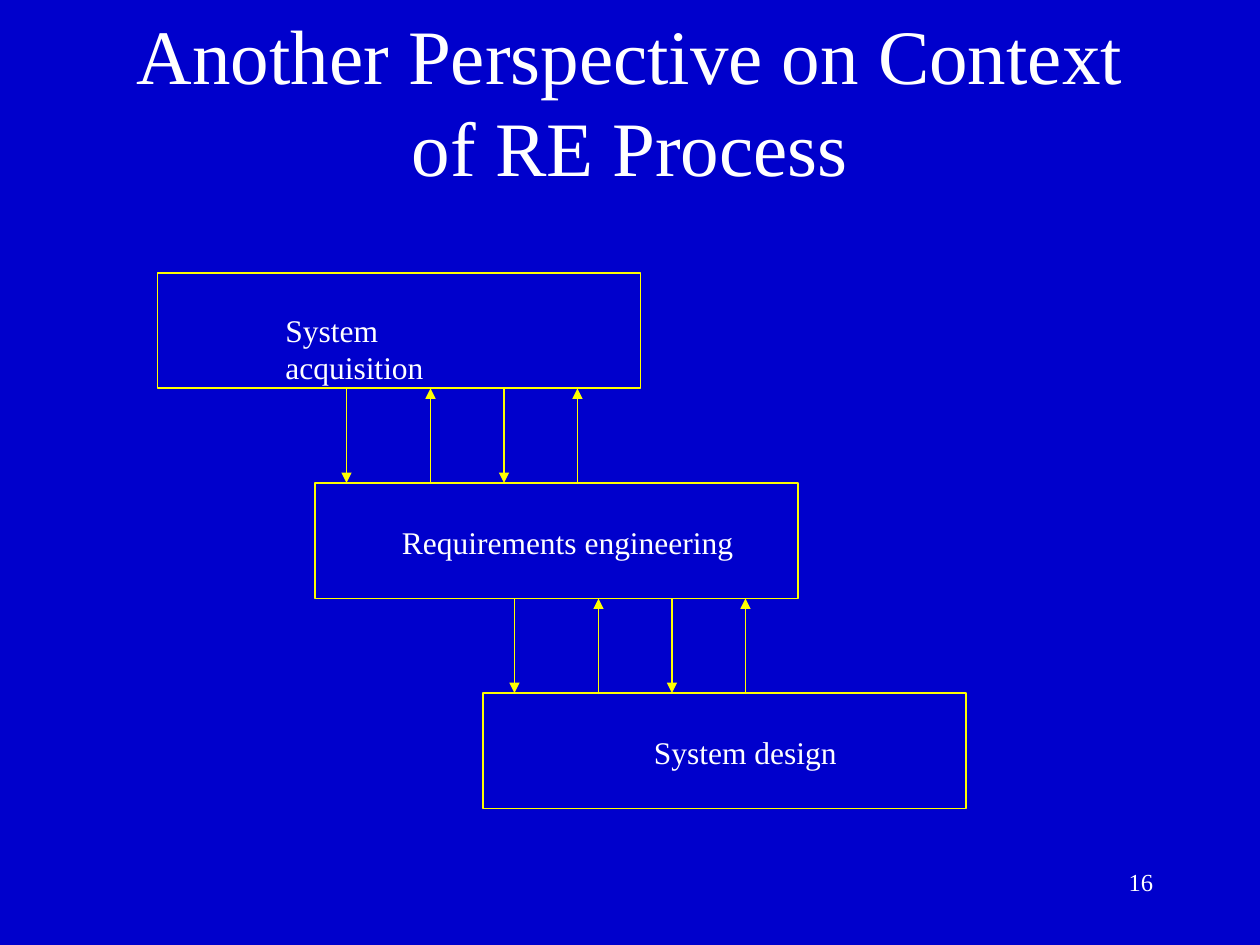
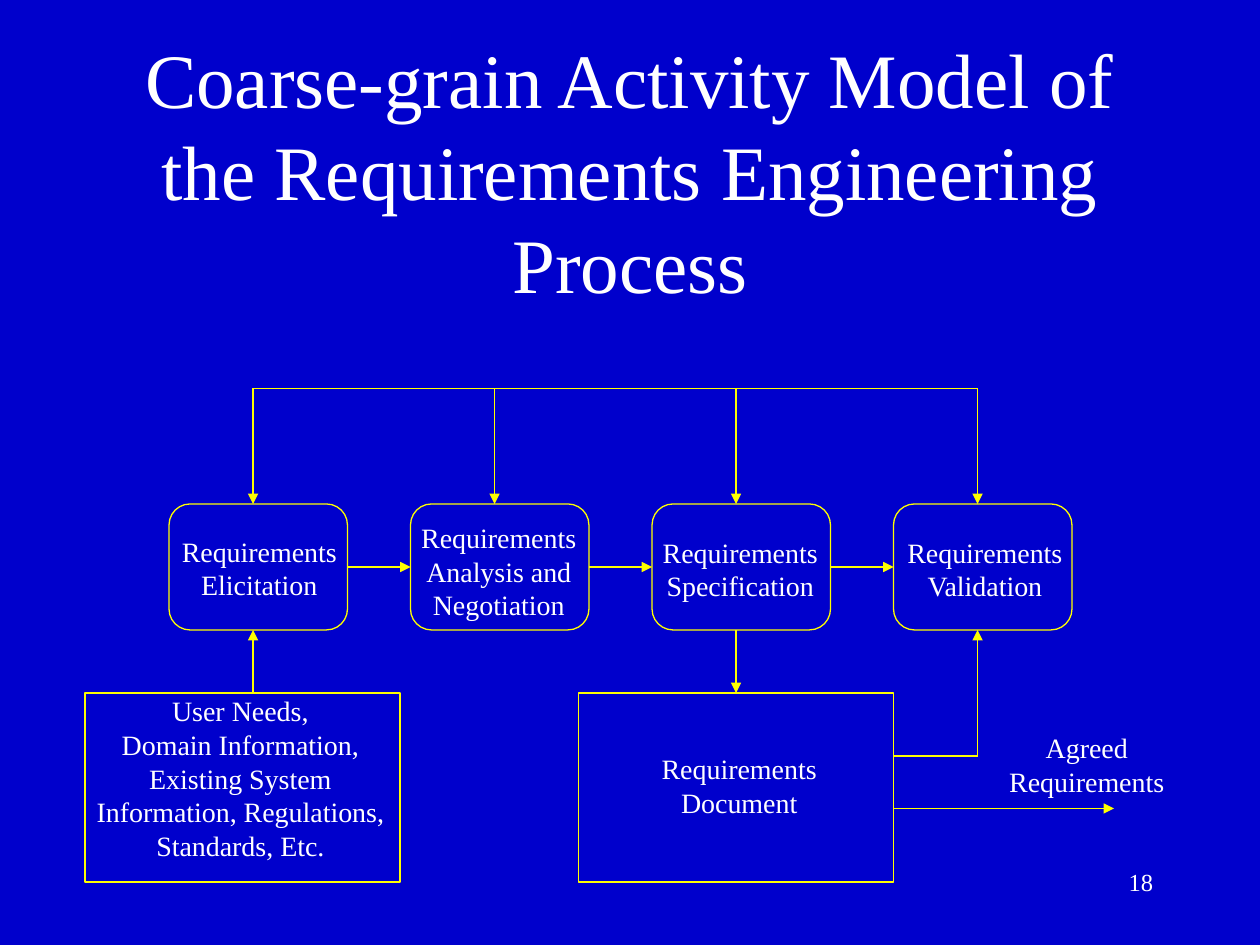
from dataclasses import dataclass

import lxml.etree
import pptx
import pptx.dml.color
import pptx.enum.shapes
import pptx.enum.text
import pptx.oxml.ns
import pptx.util

COLORS = {"background": "0000CC", "line": "FFFF00", "text": "FFFFFF"}
FONT = "Times New Roman"
WIDTH, HEIGHT = pptx.util.Inches(10), pptx.util.Inches(7.5)
COLUMNS, ROWS = 120, 90
TITLE_ONLY = 5

SHAPE = pptx.enum.shapes.MSO_SHAPE
ALIGN = pptx.enum.text.PP_ALIGN
ANCHOR = pptx.enum.text.MSO_ANCHOR
AUTO_SIZE = pptx.enum.text.MSO_AUTO_SIZE


@dataclass(frozen=True)
class Box:
    left: float
    top: float
    width: float
    height: float
    kind: int = SHAPE.RECTANGLE

    @property
    def right(self) -> float:
        return self.left + self.width

    @property
    def bottom(self) -> float:
        return self.top + self.height

    @property
    def middle(self) -> float:
        return self.top + self.height / 2


@dataclass(frozen=True)
class Label:
    text: str
    left: float
    top: float
    width: float
    size: int = 16
    align: int = ALIGN.CENTER

    @property
    def height(self) -> float:
        lines = self.text.count("\n") + 1
        return lines * self.size * 0.2 + 1.2


@dataclass(frozen=True)
class Line:
    x1: float
    y1: float
    x2: float
    y2: float
    arrow: bool = True


def col(count: float) -> int:
    return round(WIDTH * count / COLUMNS)


def row(count: float) -> int:
    return round(HEIGHT * count / ROWS)


def rgb(name: str) -> pptx.dml.color.RGBColor:
    return pptx.dml.color.RGBColor.from_string(COLORS[name])


def style_text(frame, size: int, align: int) -> None:
    for paragraph in frame.paragraphs:
        paragraph.alignment = align
        paragraph.font.name = FONT
        paragraph.font.size = pptx.util.Pt(size)
        paragraph.font.color.rgb = rgb("text")


def draw_box(slide, box: Box, weight: float):
    shape = slide.shapes.add_shape(
        box.kind, col(box.left), row(box.top), col(box.width), row(box.height))
    shape.shadow.inherit = False
    shape.fill.background()
    shape.line.color.rgb = rgb("line")
    shape.line.width = pptx.util.Pt(weight)
    return shape


def draw_label(slide, label: Label) -> None:
    frame = slide.shapes.add_textbox(
        col(label.left), row(label.top), col(label.width), row(label.height)).text_frame
    frame.text = label.text
    frame.word_wrap = False
    frame.auto_size = AUTO_SIZE.SHAPE_TO_FIT_TEXT
    style_text(frame, label.size, label.align)


def draw_line(slide, line: Line, weight: float):
    connector = slide.shapes.add_connector(
        pptx.enum.shapes.MSO_CONNECTOR.STRAIGHT,
        col(line.x1), row(line.y1), col(line.x2), row(line.y2))
    connector.line.color.rgb = rgb("line")
    connector.line.width = pptx.util.Pt(weight)
    qn = pptx.oxml.ns.qn
    if line.arrow:
        outline = connector.line._get_or_add_ln()
        lxml.etree.SubElement(outline, qn("a:tailEnd"), type="triangle")
    lxml.etree.SubElement(connector._element.spPr, qn("a:effectLst"))
    return connector


def start_slide(deck, title: str, title_top: float, number: int):
    """Add a slide with its title and page number."""
    slide = deck.slides.add_slide(deck.slide_layouts[TITLE_ONLY])
    heading = slide.shapes.title
    heading.left, heading.top = col(9), row(title_top)
    heading.width, heading.height = col(102), row(14.5)
    frame = heading.text_frame
    frame.text = title
    frame.word_wrap = True
    frame.auto_size = AUTO_SIZE.NONE
    frame.vertical_anchor = ANCHOR.BOTTOM
    style_text(frame, 44, ALIGN.CENTER)

    page = slide.shapes.add_textbox(col(86), row(82), col(25), row(6)).text_frame
    page.word_wrap = True
    page.text = str(number)
    style_text(page, 14, ALIGN.RIGHT)
    return slide


def build_context(deck) -> None:
    slide = start_slide(deck, "Another Perspective on Context of RE Process", 4.4, 16)
    weight = 1

    # Three stages, stepping down to the right
    stages = [Box(left, 26 + 20 * step, 46, 11) for step, left in enumerate((15, 30, 46))]
    for stage in stages:
        draw_box(slide, stage, weight)
    for label in (
        Label("System acquisition", 26, 29, 25.1, 18, ALIGN.LEFT),
        Label("Requirements engineering", 37.1, 49.2, 34, 18, ALIGN.LEFT),
        Label("System design", 61.1, 69.2, 19.8, 18, ALIGN.LEFT),
    ):
        draw_label(slide, label)

    # Alternating down and up arrows between neighbouring stages
    for upper, lower in zip(stages, stages[1:]):
        for index, offset in enumerate((3, 11, 18, 25)):
            x = lower.left + offset
            ends = (upper.bottom, lower.top)
            start, end = ends if index % 2 == 0 else ends[::-1]
            draw_line(slide, Line(x, start, x, end), weight)


def build_activity_model(deck) -> None:
    slide = start_slide(
        deck, "Coarse-grain Activity Model of the Requirements Engineering Process", 15.5, 18)
    weight = 0.75
    pitch, feedback_top = 23, 37

    # Activities and the documents below them
    activities = [Box(16.1 + pitch * i, 48, 17, 12, SHAPE.ROUNDED_RECTANGLE) for i in range(4)]
    activity_shapes = [draw_box(slide, activity, weight) for activity in activities]
    inputs = Box(8.1, 66, 30, 18)
    document = Box(55.1, 66, 30, 18)
    draw_box(slide, inputs, weight)
    document_shape = draw_box(slide, document, weight)

    # Feedback line with a drop to each activity
    drops = [activity.left + 8 for activity in activities]
    draw_line(slide, Line(drops[0], feedback_top, drops[-1], feedback_top, False), weight)
    for x in drops:
        draw_line(slide, Line(x, feedback_top, x, activities[0].top), weight)

    # Flow from one activity to the next
    for i, (before, after) in enumerate(zip(activities, activities[1:])):
        flow = draw_line(slide, Line(before.right, before.middle, after.left, after.middle), 1)
        flow.begin_connect(activity_shapes[i], 3)
        flow.end_connect(activity_shapes[i + 1], 1)

    # Flow into and out of the documents
    floor = activities[0].bottom
    draw_line(slide, Line(drops[0], inputs.top, drops[0], floor), weight)
    written = draw_line(slide, Line(drops[2], floor, drops[2], document.top), weight)
    written.end_connect(document_shape, 0)
    draw_line(slide, Line(document.right, 72, drops[3], 72, False), weight)
    draw_line(slide, Line(drops[3], 72, drops[3], floor), weight)
    draw_line(slide, Line(document.right, 77, document.right + 21, 77), weight)

    for label in (
        Label("Requirements\nElicitation", 16.1, 50.3, 17.2),
        Label("Requirements\nAnalysis and\nNegotiation", 38.9, 49, 17.2),
        Label("Requirements\nSpecification", 61.9, 50.4, 17.2),
        Label("Requirements\nValidation", 85.2, 50.4, 17.2),
        Label("User Needs,\nDomain Information,\nExisting System\n"
              "Information, Regulations,\nStandards, Etc.", 8, 65.5, 29.8),
        Label("Requirements\nDocument", 61.8, 71, 17.2),
        Label("Agreed\nRequirements", 94.9, 69, 17.2),
    ):
        draw_label(slide, label)


def main() -> None:
    deck = pptx.Presentation()
    deck.slide_width, deck.slide_height = WIDTH, HEIGHT
    background = deck.slide_master.background.fill
    background.solid()
    background.fore_color.rgb = rgb("background")
    build_context(deck)
    build_activity_model(deck)
    deck.save("out.pptx")


if __name__ == "__main__":
    main()
